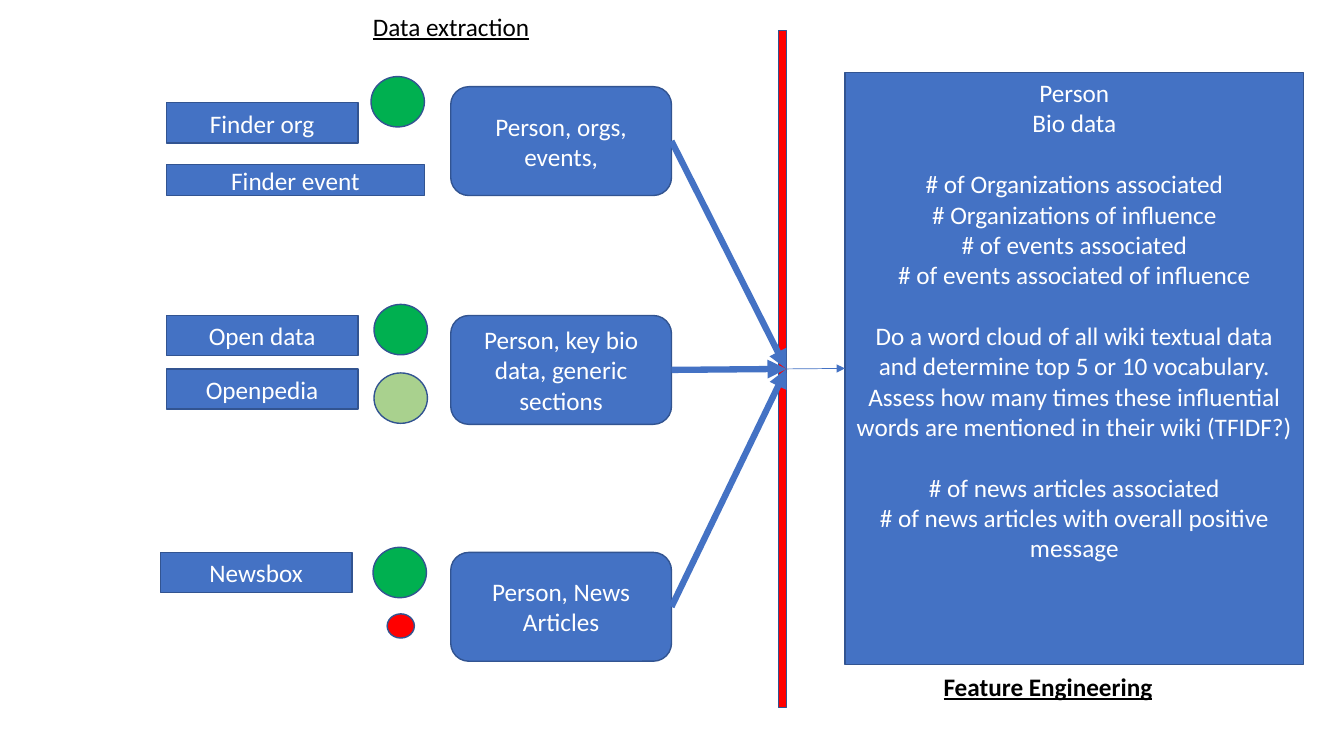
from pptx import Presentation
from pptx.dml.color import RGBColor
from pptx.enum.shapes import MSO_CONNECTOR, MSO_SHAPE
from pptx.enum.text import MSO_ANCHOR, PP_ALIGN
from pptx.oxml.ns import qn
from pptx.util import Inches, Pt
from lxml.etree import SubElement

theme = {
    "font": "Calibri", "size": 18,
    "blue": "4472C4", "edge": "325491", "white": "FFFFFF", "black": "000000",
    "green": "00B050", "pale": "A9D18E", "red": "FF0000",
    "thin": 0.5, "rim": 1, "thick": 4.5, "gap": 22,
}

sources = [
    ("Finder org", 1.65, 1.02, 1.9, 0.4),
    ("Finder event", 1.65, 1.63, 2.56, 0.31),
    ("Open data", 1.65, 3.13, 1.9, 0.4),
    ("Openpedia", 1.65, 3.66, 1.9, 0.4),
    ("Newsbox", 1.59, 5.48, 1.9, 0.4),
]
outputs = [
    ("Person, orgs, events,", 0.86),
    ("Person, key bio data, generic sections", 3.13),
    ("Person, News Articles", 5.48),
]
lights = [
    ("green", 3.68, 0.76, 0.53, 0.5),
    ("green", 3.71, 3.02, 0.53, 0.5),
    ("pale", 3.71, 3.7, 0.53, 0.5),
    ("green", 3.7, 5.43, 0.53, 0.5),
    ("red", 3.84, 6.09, 0.27, 0.24),
]
features = [
    ["Person", "Bio data"],
    ["# of Organizations associated", "# Organizations of influence",
     "# of events associated", "# of events associated of influence"],
    ["Do a word cloud of all wiki textual data and determine top 5 or 10 "
     "vocabulary. Assess how many times these influential words are "
     "mentioned in their wiki (TFIDF?)"],
    ["# of news articles associated",
     "# of news articles with overall positive message"],
]
heads = [
    ("Data extraction", 3.6, 0.06, 1.77, {"underline": True}),
    ("Feature Engineering", 9.26, 6.61, 2.29,
     {"underline": True, "bold": True}),
]


def tint(name):
    return RGBColor.from_string(theme[name])


def style(item, form):
    for key, val in form.items():
        setattr(item, key, val)


def write(frame, groups, color, align, form={}):
    first = True
    for num, group in enumerate(groups):
        for pos, line in enumerate(group):
            para = frame.paragraphs[0] if first else frame.add_paragraph()
            first = False
            para.alignment = align
            if num and not pos:
                para.space_before = Pt(theme["gap"])
            run = para.add_run()
            run.text = line
            style(run.font, {"name": theme["font"],
                             "size": Pt(theme["size"]), **form})
            run.font.color.rgb = tint(color)


def draw(kind, area, fill="blue", groups=(), anchor=MSO_ANCHOR.MIDDLE):
    shape = slide.shapes.add_shape(kind, *map(Inches, area))
    shape.shadow.inherit = False
    shape.fill.solid()
    shape.fill.fore_color.rgb = tint(fill)
    shape.line.color.rgb = tint("edge")
    shape.line.width = Pt(theme["rim"])
    style(shape.text_frame, {"word_wrap": True, "vertical_anchor": anchor})
    write(shape.text_frame, groups, "white", PP_ALIGN.CENTER)
    return shape


def link(start, end, side, width):
    line = slide.shapes.add_connector(MSO_CONNECTOR.STRAIGHT, 0, 0, 0, 0)
    line.begin_connect(start, 3)
    line.end_connect(end, side)
    line.line.color.rgb = tint("blue")
    line.line.width = Pt(theme[width])
    SubElement(line.line._get_or_add_ln(), qn("a:tailEnd"), type="triangle")
    SubElement(line._element.spPr, qn("a:effectLst"))


deck = Presentation()
style(deck, {"slide_width": Inches(13.33), "slide_height": Inches(7.5)})
slide = deck.slides.add_slide(deck.slide_layouts[6])

for text, *area in sources:
    draw(MSO_SHAPE.RECTANGLE, area, groups=[[text]])
boxes = [draw(MSO_SHAPE.ROUNDED_RECTANGLE, (4.47, top, 2.19, 1.08),
              groups=[[text]]) for text, top in outputs]
bar = draw(MSO_SHAPE.RECTANGLE, (7.72, 0.3, 0.08, 6.72), "red")
panel = draw(MSO_SHAPE.RECTANGLE, (8.38, 0.72, 4.55, 5.87),
             groups=features, anchor=MSO_ANCHOR.TOP)

for box in boxes:
    link(box, bar, 3, "thick")
link(bar, panel, 1, "thin")

for fill, *area in lights:
    draw(MSO_SHAPE.OVAL, area, fill)
for text, left, top, width, form in heads:
    head = slide.shapes.add_textbox(*map(Inches, (left, top, width, 0.4)))
    head.text_frame.word_wrap = False
    write(head.text_frame, [[text]], "black", PP_ALIGN.LEFT, form)

deck.save("out.pptx")
